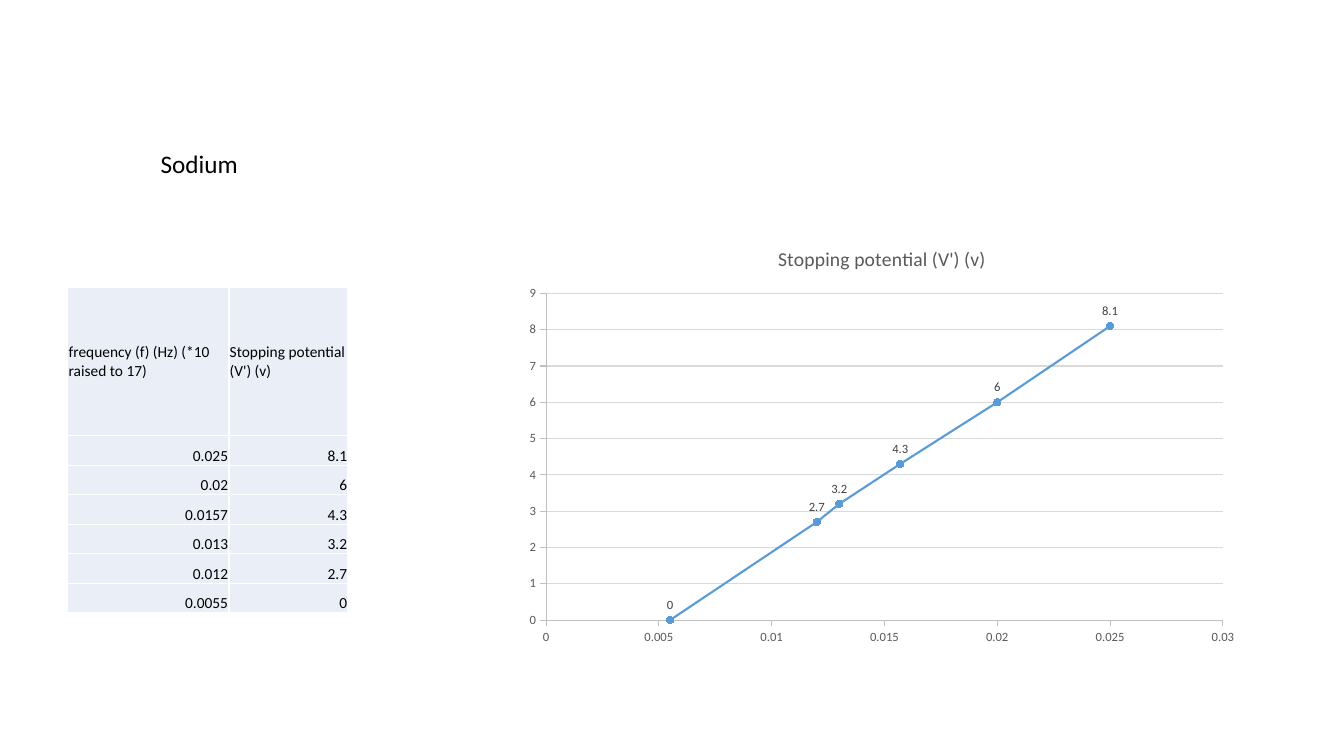
from lxml import etree
from pptx import Presentation
from pptx.chart.data import XyChartData
from pptx.chart.datalabel import DataLabels
from pptx.dml.color import RGBColor
from pptx.enum.chart import XL_CHART_TYPE, XL_LABEL_POSITION, XL_MARKER_STYLE, XL_TICK_MARK
from pptx.enum.text import MSO_ANCHOR, PP_ALIGN
from pptx.oxml.ns import qn
from pptx.util import Cm, Pt

SCATTER = XL_CHART_TYPE.XY_SCATTER_LINES
ABOVE = XL_LABEL_POSITION.ABOVE
CIRCLE = XL_MARKER_STYLE.CIRCLE
TICK_OUT, TICK_NONE = XL_TICK_MARK.OUTSIDE, XL_TICK_MARK.NONE
MIDDLE, BOTTOM = MSO_ANCHOR.MIDDLE, MSO_ANCHOR.BOTTOM
LEFT, RIGHT = PP_ALIGN.LEFT, PP_ALIGN.RIGHT

FONT = "Calibri"
POTENTIAL = "Stopping potential (V') (v)"
HEADINGS = ("frequency (f) (Hz) (*10 raised to 17)", POTENTIAL)
READINGS = [(0.025, 8.1), (0.02, 6), (0.0157, 4.3),
            (0.013, 3.2), (0.012, 2.7), (0.0055, 0)]
BLUE = "5B9BD5"


def color(value):
    return RGBColor.from_string(value)


def set_font(font, size, hex_color):
    formats = {"name": FONT, "size": Pt(size), "bold": False}
    for name, value in formats.items():
        setattr(font, name, value)
    font.color.rgb = color(hex_color)


def set_line(line, width, hex_color):
    line.width = Pt(width)
    line.color.rgb = color(hex_color)


def add_cell_borders(cell, width, hex_color):
    properties = cell._tc.get_or_add_tcPr()
    for index, side in enumerate(("a:lnL", "a:lnR", "a:lnT", "a:lnB")):
        border = etree.Element(qn(side), w=str(Pt(width)))
        fill = etree.SubElement(border, qn("a:solidFill"))
        etree.SubElement(fill, qn("a:srgbClr"), val=hex_color)
        properties.insert(index, border)


def fill_cell(cell, text, anchor, alignment):
    formats = {"text": text, "vertical_anchor": anchor, "margin_left": Cm(0.02),
               "margin_right": Cm(0.02), "margin_top": Cm(0.02), "margin_bottom": 0}
    for name, value in formats.items():
        setattr(cell, name, value)
    cell.fill.solid()
    cell.fill.fore_color.rgb = color("EAEFF7")
    para = cell.text_frame.paragraphs[0]
    para.alignment = alignment
    set_font(para.runs[0].font, 11, "000000")
    add_cell_borders(cell, 1, "FFFFFF")


def add_heading(page, box):
    frame = page.shapes.add_textbox(*box).text_frame
    frame.word_wrap = True
    span = frame.paragraphs[0].add_run()
    span.text = "Sodium"
    set_font(span.font, 18, "000000")


def add_readings_table(page, box):
    left, top, width, height = box
    header_height, first_width = Cm(3.73), Cm(4.06)
    table = page.shapes.add_table(len(READINGS) + 1, 2, *box).table
    table.first_row = table.horz_banding = False
    table.columns[0].width = first_width
    table.columns[1].width = width - first_width
    for index, row in enumerate(table.rows):
        is_header = index == 0
        row.height = header_height if is_header else (height - header_height) // len(READINGS)
        texts = HEADINGS if is_header else map(str, READINGS[index - 1])
        anchor, alignment = (MIDDLE, LEFT) if is_header else (BOTTOM, RIGHT)
        for cell, text in zip(row.cells, texts):
            fill_cell(cell, text, anchor, alignment)


def style_axis(axis, maximum, step):
    formats = {"minimum_scale": 0, "maximum_scale": maximum, "major_unit": step,
               "major_tick_mark": TICK_OUT, "minor_tick_mark": TICK_NONE,
               "has_major_gridlines": False, "has_minor_gridlines": False}
    for name, value in formats.items():
        setattr(axis, name, value)
    set_line(axis.format.line, 0.75, "BFBFBF")
    set_font(axis.tick_labels.font, 9, "595959")


def style_series(series):
    series.smooth = False
    set_line(series.format.line, 1.5, BLUE)
    marker = series.marker
    marker.style, marker.size = CIRCLE, 5
    marker.format.fill.solid()
    marker.format.fill.fore_color.rgb = color(BLUE)
    set_line(marker.format.line, 0.75, BLUE)
    labels = DataLabels(series._element.get_or_add_dLbls())
    labels.show_value = True
    labels.position = ABOVE
    set_font(labels.font, 9, "404040")


def add_potential_chart(page, box):
    data = XyChartData()
    points = data.add_series(POTENTIAL)
    for frequency, potential in READINGS:
        points.add_data_point(frequency, potential)
    chart = page.shapes.add_chart(SCATTER, *box, data).chart
    set_font(chart.font, 10, "000000")
    chart.has_legend = False
    chart.plots[0].vary_by_categories = False
    chart.has_title = True
    title = chart.chart_title
    title.include_in_layout = False
    title.text_frame.text = POTENTIAL
    set_font(title.text_frame.paragraphs[0].runs[0].font, 14, "595959")
    style_axis(chart.category_axis, 0.03, 0.005)
    style_axis(chart.value_axis, 9, 1)
    chart.value_axis.has_major_gridlines = True
    set_line(chart.value_axis.major_gridlines.format.line, 0.75, "D9D9D9")
    style_series(chart.plots[0].series[0])


def main():
    deck = Presentation()
    deck.slide_width, deck.slide_height = Cm(33.87), Cm(19.05)
    page = deck.slides.add_slide(deck.slide_layouts[6])
    add_readings_table(page, (Cm(1.71), Cm(7.25), Cm(7.06), Cm(8.2)))
    add_potential_chart(page, (Cm(12.98), Cm(5.74), Cm(18.49), Cm(10.72)))
    add_heading(page, (Cm(3.8), Cm(3.61), Cm(3.78), Cm(1.03)))
    deck.save("out.pptx")


if __name__ == "__main__":
    main()
